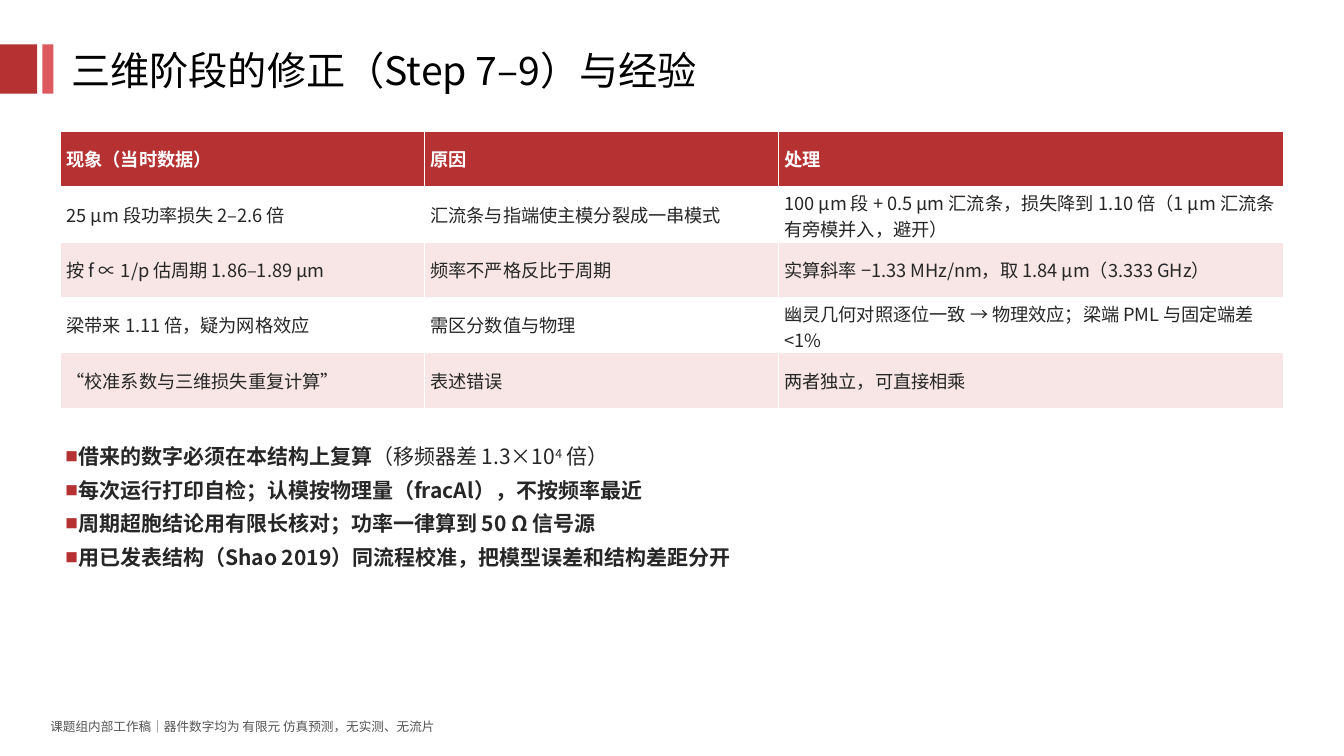
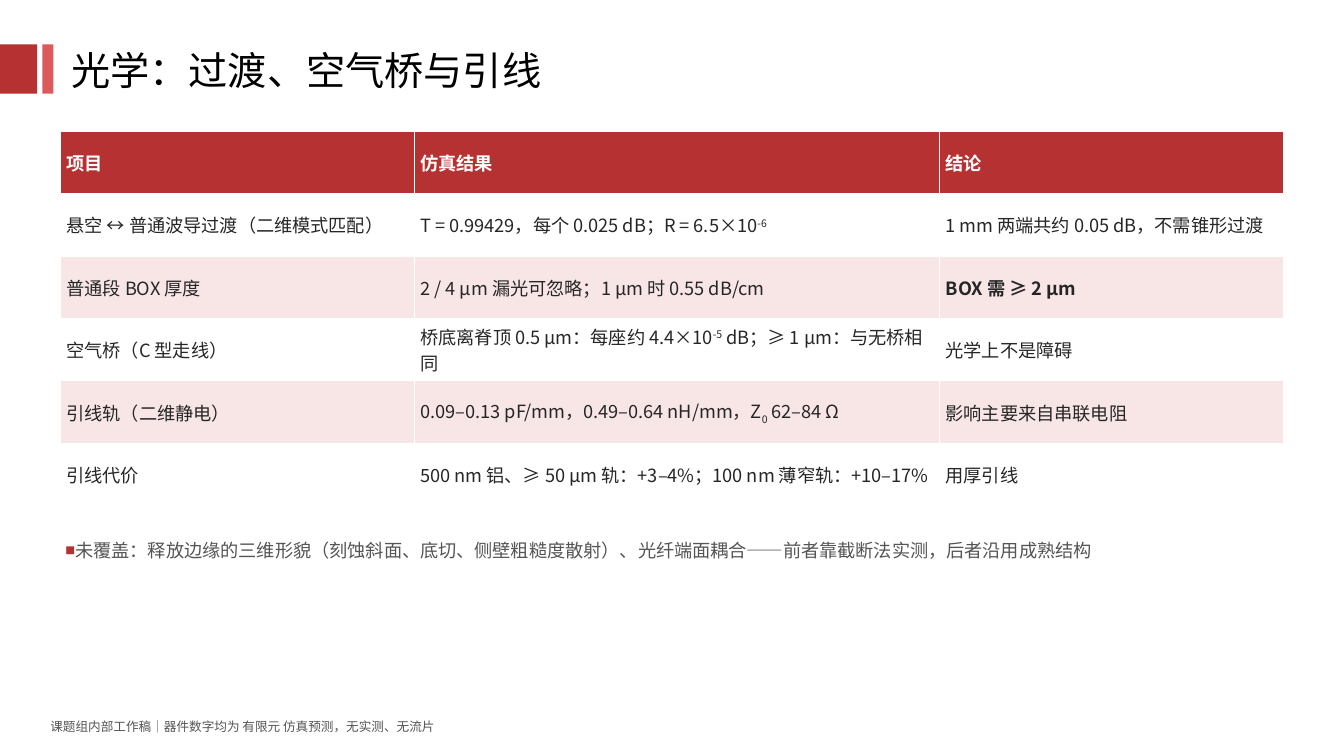
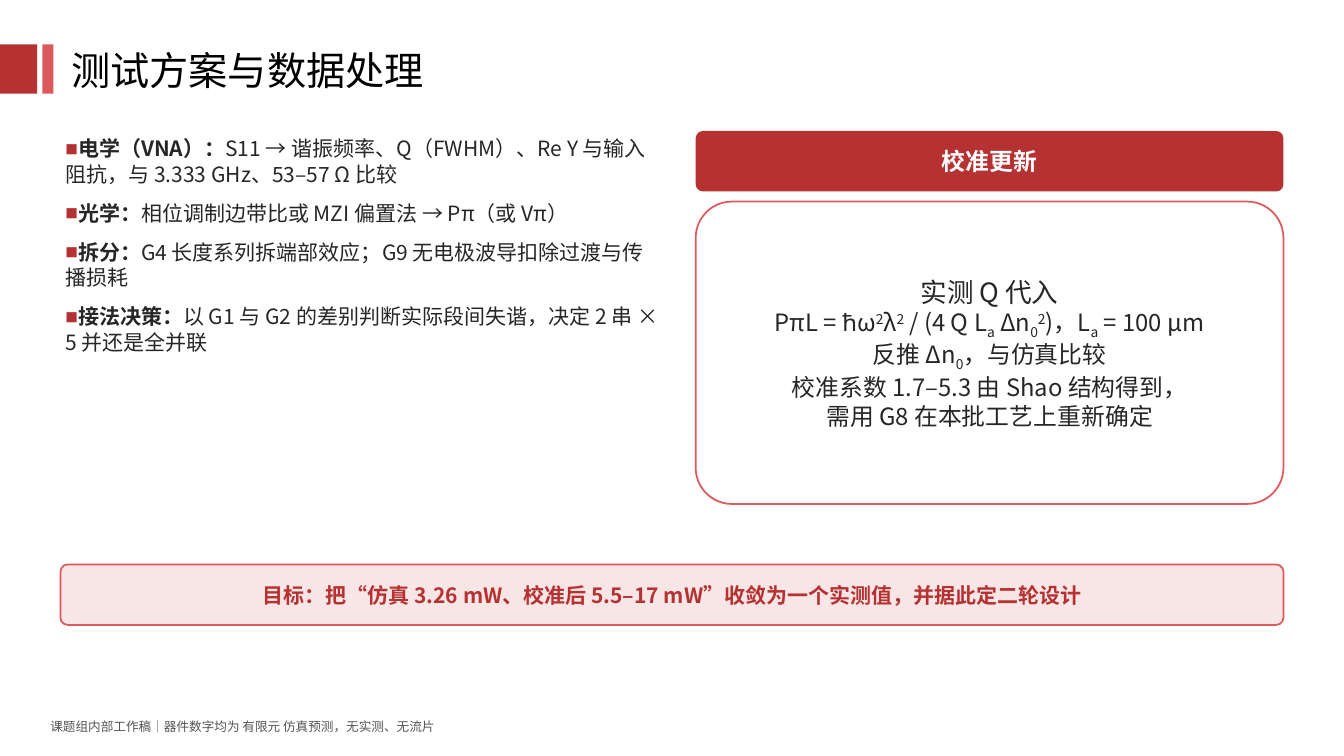
"""Build three slides on corrections, optics and the test plan of a modulator."""
from dataclasses import dataclass, replace
from typing import Optional, Sequence, Union

from lxml.etree import SubElement
from pptx import Presentation
from pptx.dml.color import RGBColor
from pptx.enum.shapes import MSO_SHAPE as Shape
from pptx.enum.text import MSO_ANCHOR as Anchor, MSO_AUTO_SIZE as AutoSize, PP_ALIGN as Align
from pptx.oxml.ns import qn
from pptx.util import Inches, Pt

RED = RGBColor(0xB5, 0x31, 0x32)
LIGHT_RED = RGBColor(0xDC, 0x5A, 0x5D)
PINK = RGBColor(0xF8, 0xE6, 0xE6)
WHITE = RGBColor(0xFF, 0xFF, 0xFF)
BLACK = RGBColor(0x00, 0x00, 0x00)
INK = RGBColor(0x26, 0x26, 0x26)
GRAY = RGBColor(0x55, 0x55, 0x55)
FONT = "Noto Sans CJK SC"
LEFT, TOP, WIDTH = 0.6, 1.3, 12.13
FOOTER = "课题组内部工作稿｜器件数字均为 有限元 仿真预测，无实测、无流片"


@dataclass(frozen=True)
class Span:
    text: str
    bold: Optional[bool] = None
    baseline: int = 0


@dataclass(frozen=True)
class Style:
    size: float
    color: RGBColor
    bold: bool = False
    align: Optional[Align] = None
    after: float = 0
    bullet_percent: int = 0


@dataclass(frozen=True)
class Area:
    left: float
    top: float
    width: float
    height: float

    def lengths(self) -> list:
        return [Inches(value) for value in (self.left, self.top, self.width, self.height)]


Line = Union[str, Sequence[Union[str, Span]]]

TITLE = Style(28, BLACK)
FOOT = Style(9, GRAY, after=4)
HEADER = Style(13, WHITE, bold=True)
CELL = Style(13, INK)
LESSON = Style(15, INK, bold=True, after=6, bullet_percent=60)
PLAN = Style(15, INK, after=10, bullet_percent=60)
REMARK = Style(13, GRAY, after=4, bullet_percent=54)
CARD_HEAD = Style(17, WHITE, bold=True, align=Align.CENTER)
CARD_BODY = Style(17, INK, align=Align.CENTER)
GOAL = Style(15, RED, bold=True, align=Align.CENTER)


def bold(text: str) -> Span:
    return Span(text, bold=True)


def plain(text: str) -> Span:
    return Span(text, bold=False)


def sup(text: str, weight: Optional[bool] = None) -> Span:
    return Span(text, weight, 30)


def sub(text: str) -> Span:
    return Span(text, baseline=-25)


def add_bullet(para, percent: int) -> None:
    props = para._p.get_or_add_pPr()
    props.set("marL", "0")
    props.set("indent", "0")
    color = SubElement(props, qn("a:buClr"))
    SubElement(color, qn("a:srgbClr")).set("val", str(RED))
    SubElement(props, qn("a:buSzPct")).set("val", str(percent * 1000))
    SubElement(props, qn("a:buFont")).set("typeface", FONT)
    SubElement(props, qn("a:buChar")).set("char", "■")


def write_line(para, line: Line, style: Style) -> None:
    if style.bullet_percent:
        add_bullet(para, style.bullet_percent)
    if style.align is not None:
        para.alignment = style.align
    if style.after:
        para.space_after = Pt(style.after)
    for part in [line] if isinstance(line, str) else line:
        span = Span(part) if isinstance(part, str) else part
        run = para.add_run()
        run.text = span.text
        run.font.size = Pt(style.size)
        run.font.bold = style.bold if span.bold is None else span.bold
        run.font.color.rgb = style.color
        run.font.name = FONT
        props = run._r.get_or_add_rPr()
        SubElement(props, qn("a:ea")).set("typeface", FONT)
        if span.baseline:
            props.set("baseline", str(span.baseline * 1000))


def write_lines(frame, lines: Sequence[Line], style: Style) -> None:
    for index, line in enumerate(lines):
        para = frame.add_paragraph() if index else frame.paragraphs[0]
        write_line(para, line, style)


def set_margins(frame, side: float, end: float) -> None:
    frame.margin_left = frame.margin_right = Inches(side)
    frame.margin_top = frame.margin_bottom = Inches(end)


def add_text(page, area: Area, lines: Sequence[Line], style: Style,
             margins: tuple[float, float] = (0.05, 0.05)) -> None:
    frame = page.shapes.add_textbox(*area.lengths()).text_frame
    frame.word_wrap = True
    frame.auto_size = AutoSize.SHAPE_TO_FIT_TEXT
    set_margins(frame, *margins)
    write_lines(frame, lines, style)


def add_box(page, area: Area, fill: RGBColor, kind: Shape = Shape.RECTANGLE,
            border: Optional[RGBColor] = None):
    box = page.shapes.add_shape(kind, *area.lengths())
    box.shadow.inherit = False
    box.fill.solid()
    box.fill.fore_color.rgb = fill
    if border is None:
        box.line.fill.background()
    else:
        box.line.color.rgb = border
        box.line.width = Pt(1.25)
    return box


def add_card(page, area: Area, fill: RGBColor, border: Optional[RGBColor] = None):
    card = add_box(page, area, fill, Shape.ROUNDED_RECTANGLE, border)
    card.adjustments[0] = 0.12
    frame = card.text_frame
    frame.word_wrap = True
    frame.vertical_anchor = Anchor.MIDDLE
    set_margins(frame, 0.06, 0.03)
    return frame


def add_grid(page, widths: Sequence[float], row_height: float,
             rows: Sequence[Sequence[Line]]) -> None:
    area = Area(LEFT, TOP, WIDTH, row_height * len(rows))
    table = page.shapes.add_table(len(rows), len(widths), *area.lengths()).table
    for column, width in zip(table.columns, widths):
        column.width = Inches(width)
    for row_index, row in enumerate(rows):
        table.rows[row_index].height = Inches(row_height)
        fill = RED if row_index == 0 else (PINK, WHITE)[row_index % 2]
        for column_index, line in enumerate(row):
            cell = table.cell(row_index, column_index)
            cell.fill.solid()
            cell.fill.fore_color.rgb = fill
            cell.vertical_anchor = Anchor.MIDDLE
            set_margins(cell, 0.06, 0.03)
            write_lines(cell.text_frame, [line], CELL if row_index else HEADER)


def add_page(deck, title: str):
    page = deck.slides.add_slide(deck.slide_layouts[6])
    add_box(page, Area(0, 0.44, 0.37, 0.49), RED)
    add_box(page, Area(0.42, 0.44, 0.11, 0.49), LIGHT_RED)
    add_text(page, Area(0.61, 0.41, 10.6, 0.57), [title], TITLE, (0.1, 0.05))
    add_text(page, Area(0.45, 7.08, 9.5, 0.3), [FOOTER], FOOT)
    return page


def build_corrections(deck) -> None:
    page = add_page(deck, "三维阶段的修正（Step 7–9）与经验")
    add_grid(page, (3.61, 3.51, 5.01), 0.55, [
        ("现象（当时数据）", "原因", "处理"),
        ("25 µm 段功率损失 2–2.6 倍", "汇流条与指端使主模分裂成一串模式",
         "100 µm 段 + 0.5 µm 汇流条，损失降到 1.10 倍（1 µm 汇流条有旁模并入，避开）"),
        ("按 f ∝ 1/p 估周期 1.86–1.89 µm", "频率不严格反比于周期",
         "实算斜率 −1.33 MHz/nm，取 1.84 µm（3.333 GHz）"),
        ("梁带来 1.11 倍，疑为网格效应", "需区分数值与物理",
         "幽灵几何对照逐位一致 → 物理效应；梁端 PML 与固定端差 <1%"),
        ("“校准系数与三维损失重复计算”", "表述错误", "两者独立，可直接相乘"),
    ])
    add_text(page, Area(LEFT, 4.35, 12.1, 1.9), [
        ("借来的数字必须在本结构上复算", plain("（移频器差 1.3×10"), sup("4", False), plain(" 倍）")),
        "每次运行打印自检；认模按物理量（fracAl），不按频率最近",
        "周期超胞结论用有限长核对；功率一律算到 50 Ω 信号源",
        "用已发表结构（Shao 2019）同流程校准，把模型误差和结构差距分开",
    ], LESSON)


def build_optics(deck) -> None:
    page = add_page(deck, "光学：过渡、空气桥与引线")
    add_grid(page, (3.51, 5.21, 3.41), 0.62, [
        ("项目", "仿真结果", "结论"),
        ("悬空 ↔ 普通波导过渡（二维模式匹配）",
         ("T = 0.99429，每个 0.025 dB；R = 6.5×10", sup("-6")),
         "1 mm 两端共约 0.05 dB，不需锥形过渡"),
        ("普通段 BOX 厚度", "2 / 4 µm 漏光可忽略；1 µm 时 0.55 dB/cm", [bold("BOX 需 ≥ 2 µm")]),
        ("空气桥（C 型走线）",
         ("桥底离脊顶 0.5 µm：每座约 4.4×10", sup("-5"), " dB；≥ 1 µm：与无桥相同"),
         "光学上不是障碍"),
        ("引线轨（二维静电）",
         ("0.09–0.13 pF/mm，0.49–0.64 nH/mm，Z", sub("0"), " 62–84 Ω"),
         "影响主要来自串联电阻"),
        ("引线代价", "500 nm 铝、≥ 50 µm 轨：+3–4%；100 nm 薄窄轨：+10–17%", "用厚引线"),
    ])
    add_text(page, Area(LEFT, 5.3, 12.1, 0.9), [
        "未覆盖：释放边缘的三维形貌（刻蚀斜面、底切、侧壁粗糙度散射）、"
        "光纤端面耦合——前者靠截断法实测，后者沿用成熟结构",
    ], REMARK)


def build_test_plan(deck) -> None:
    page = add_page(deck, "测试方案与数据处理")
    add_text(page, Area(LEFT, TOP, 6, 4.6), [
        (bold("电学（VNA）："), "S11 → 谐振频率、Q（FWHM）、Re Y 与输入阻抗，与 3.333 GHz、53–57 Ω 比较"),
        (bold("光学："), "相位调制边带比或 MZI 偏置法 → Pπ（或 Vπ）"),
        (bold("拆分："), "G4 长度系列拆端部效应；G9 无电极波导扣除过渡与传播损耗"),
        (bold("接法决策："), "以 G1 与 G2 的差别判断实际段间失谐，决定 2 串 × 5 并还是全并联"),
    ], PLAN)
    head = add_card(page, Area(6.9, TOP, 5.83, 0.6), RED)
    write_lines(head, ["校准更新"], CARD_HEAD)
    body = add_card(page, Area(6.9, 2, 5.83, 3), WHITE, LIGHT_RED)
    write_lines(body, ["实测 Q 代入"], replace(CARD_BODY, size=19))
    for line in (
        ("PπL = ħω", sup("2"), "λ", sup("2"), " / (4 Q L", sub("a"), " Δn", sub("0"), sup("2"),
         ")，L", sub("a"), " = 100 µm"),
        ("反推 Δn", sub("0"), "，与仿真比较"),
        "校准系数 1.7–5.3 由 Shao 结构得到，",
        "需用 G8 在本批工艺上重新确定",
    ):
        write_line(body.add_paragraph(), line, CARD_BODY)
    goal = add_card(page, Area(LEFT, 5.6, WIDTH, 0.6), PINK, LIGHT_RED)
    write_lines(goal, ["目标：把“仿真 3.26 mW、校准后 5.5–17 mW”收敛为一个实测值，并据此定二轮设计"], GOAL)


def main() -> None:
    deck = Presentation()
    deck.slide_width, deck.slide_height = Inches(13.33), Inches(7.5)
    build_corrections(deck)
    build_optics(deck)
    build_test_plan(deck)
    deck.save("out.pptx")


if __name__ == "__main__":
    main()
